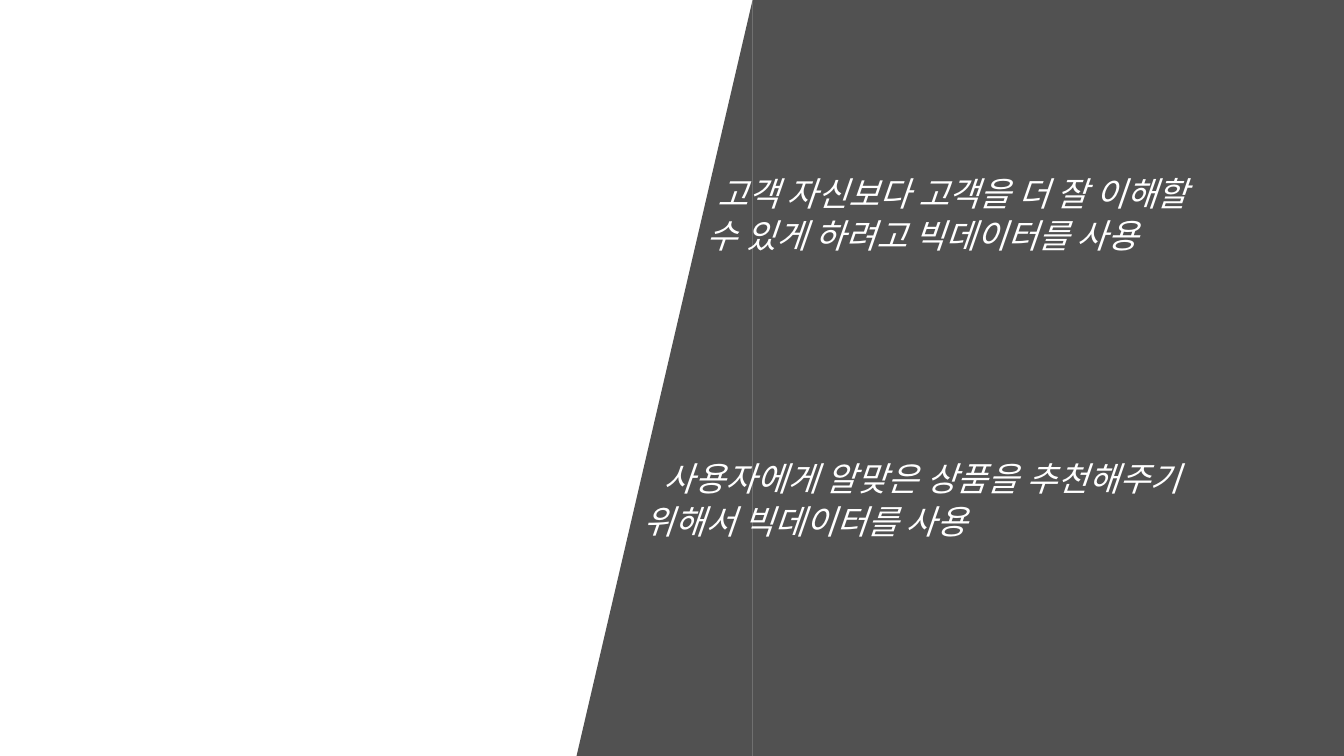
from lxml.etree import SubElement
from pptx import Presentation
from pptx.dml.color import RGBColor
from pptx.enum.shapes import MSO_SHAPE as Shape
from pptx.enum.text import MSO_AUTO_SIZE as AutoSize
from pptx.oxml.ns import qn
from pptx.util import Inches, Pt

WIDTH = 10
HEIGHT = WIDTH * 9 / 16
FONT = "Noto Sans CJK KR"
DARK, WHITE = "262626", "FFFFFF"
SLANT_LEFT, SLANT_RIGHT = 4.29, 5.6
LINE_HEIGHT = 0.4
STATEMENT_LINES = [
    ("고객 자신보다 고객을 더 잘 이해할", 5.24, 1.24, 4.25),
    ("사용자에게 알맞은 상품을 추천해주기", 4.84, 3.36, 4.53),
    ("수 있게 하려고 빅데이터를 사용", 5.16, 1.55, 4.09),
    ("위해서 빅데이터를 사용", 4.69, 3.68, 5.12),
]


def color(hex_code):
    """Return the colour for a hex string."""
    return RGBColor.from_string(hex_code)


def add_panel_part(group, kind, left, right, opacity=80):
    """Add a translucent full-height part of the dark panel."""
    shape = group.shapes.add_shape(
        kind, Inches(left), 0, Inches(right - left), Inches(HEIGHT))
    shape.shadow.inherit = False
    shape.fill.solid()
    shape.fill.fore_color.rgb = color(DARK)
    shape.line.fill.background()
    fill_color = shape._element.spPr.find(qn("a:solidFill"))[0]
    SubElement(fill_color, qn("a:alpha"), val=str(opacity * 1000))
    return shape


def add_panel(slide):
    """Add the grouped panel with its slanted left edge."""
    group = slide.shapes.add_group_shape()
    add_panel_part(group, Shape.RECTANGLE, SLANT_RIGHT, WIDTH)
    slant = add_panel_part(group, Shape.RIGHT_TRIANGLE, SLANT_LEFT, SLANT_RIGHT)
    slant._element.spPr.find(qn("a:xfrm")).set("flipH", "1")


def add_text(slide, text, left, top, width, *, size=18, fill=WHITE, italic=True):
    """Add one line of text in Latin and East Asian fonts."""
    box = slide.shapes.add_textbox(
        Inches(left), Inches(top), Inches(width), Inches(LINE_HEIGHT))
    frame = box.text_frame
    frame.word_wrap = True
    frame.auto_size = AutoSize.SHAPE_TO_FIT_TEXT
    run = frame.paragraphs[0].add_run()
    run.text = text
    font = run.font
    font.size, font.italic, font.name = Pt(size), italic, FONT
    font.color.rgb = color(fill)
    SubElement(font._element, qn("a:ea"), typeface=FONT)


def main():
    """Build and save the slide."""
    presentation = Presentation()
    presentation.slide_width = Inches(WIDTH)
    presentation.slide_height = Inches(HEIGHT)
    slide = presentation.slides.add_slide(presentation.slide_layouts[6])
    slide.background.fill.solid()
    slide.background.fill.fore_color.rgb = color(WHITE)
    add_panel(slide)
    for text, left, top, width in STATEMENT_LINES:
        add_text(slide, text, left, top, width)
    presentation.save("out.pptx")


if __name__ == "__main__":
    main()
